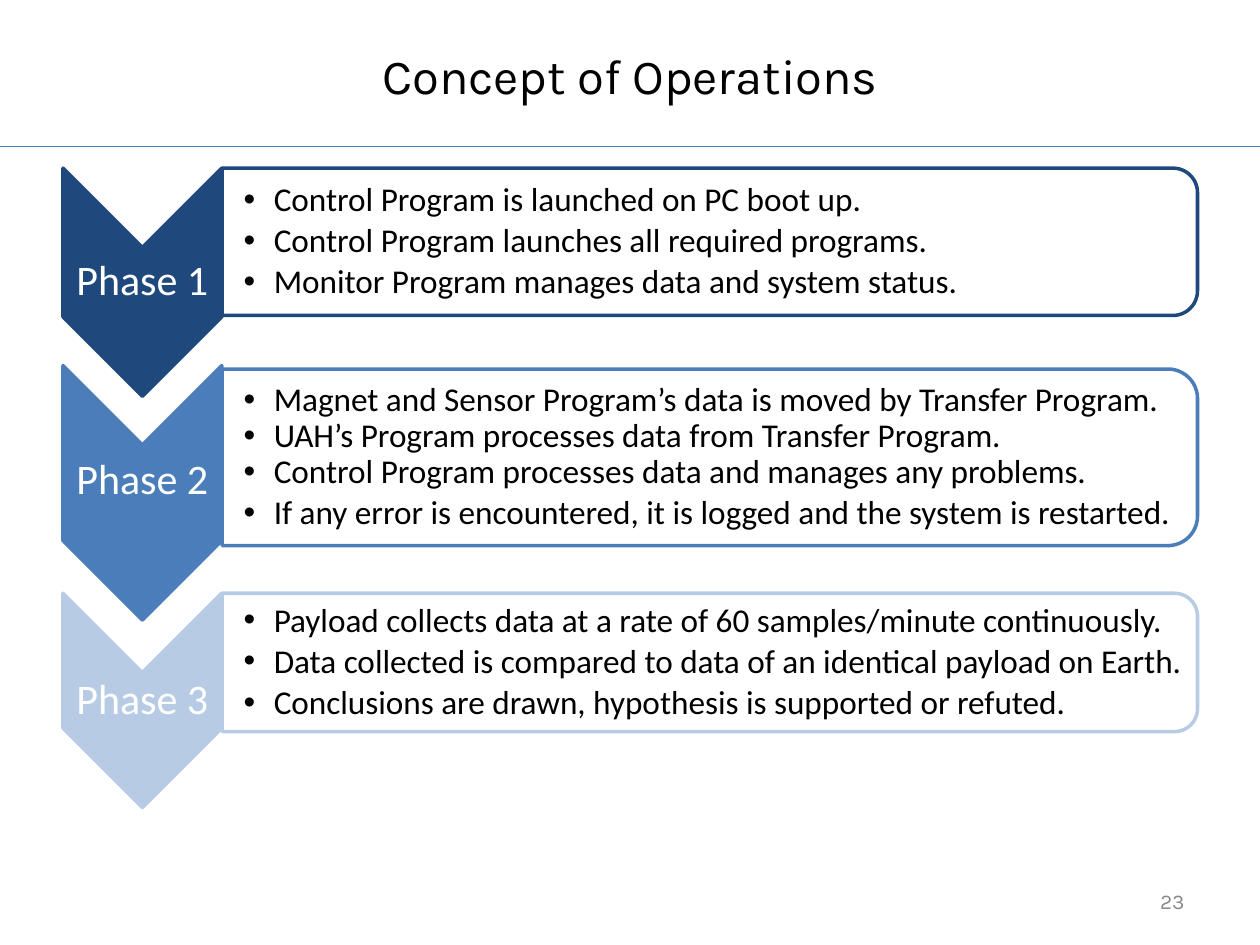
import dataclasses

import pptx
import pptx.dml.color
import pptx.enum.shapes
import pptx.enum.text
import pptx.oxml
import pptx.oxml.ns
import pptx.util

Cm = pptx.util.Cm
Pt = pptx.util.Pt
SHAPE = pptx.enum.shapes.MSO_SHAPE
ALIGN = pptx.enum.text.PP_ALIGN
NS = pptx.oxml.ns.nsdecls("a")


@dataclasses.dataclass(frozen=True)
class Theme:
    heading_font: str = "Karla"
    body_font: str = "Calibri"
    title_size: int = 28
    label_size: int = 24
    bullet_size: int = 19
    number_size: int = 12
    text: str = "000000"
    white: str = "FFFFFF"
    muted: str = "888888"
    accent: str = "4A7DBA"
    phases: tuple = ("1F497D", "4A7DBA", "B7CCE4")


def rgb(value):
    return pptx.dml.color.RGBColor.from_string(value)


class SlideBuilder:
    def __init__(self, prs, theme):
        self.theme = theme
        self.s = prs.slides.add_slide(prs.slide_layouts[5])

    def font(self, p, name, size, color):
        for r in p.runs:
            r.font.name = name
            r.font.size = Pt(size)
            r.font.color.rgb = rgb(color)

    def frame(self, sp, margins):
        tf = sp.text_frame
        tf.word_wrap = True
        tf.vertical_anchor = pptx.enum.text.MSO_ANCHOR.MIDDLE
        tf.margin_left, tf.margin_top, tf.margin_right, tf.margin_bottom = map(Cm, margins)
        return tf

    def title(self, text, left, top, width, height):
        sp = self.s.shapes.title
        sp.left, sp.top, sp.width, sp.height = map(Cm, (left, top, width, height))
        tf = self.frame(sp, (0.25, 0.13, 0.25, 0.13))
        tf.text = text
        p = tf.paragraphs[0]
        p.alignment = ALIGN.CENTER
        self.font(p, self.theme.heading_font, self.theme.title_size, self.theme.text)

    def rule(self, y, width):
        line = self.s.shapes.add_connector(
            pptx.enum.shapes.MSO_CONNECTOR.STRAIGHT, 0, Cm(y), Cm(width), Cm(y))
        line.line.color.rgb = rgb(self.theme.accent)
        line.line.width = Pt(0.75)
        line._element.spPr.append(pptx.oxml.parse_xml(f"<a:effectLst {NS}/>"))

    def text(self, text, box, size, color, font, align, margins, spacing=1.0):
        tf = self.frame(self.s.shapes.add_textbox(*map(Cm, box)), margins)
        tf.text = text
        p = tf.paragraphs[0]
        p.alignment = align
        p.line_spacing = spacing
        self.font(p, font, size, color)

    def turned_shape(self, kind, box, adjustments, fill, line):
        left, top, width, height = box
        sp = self.s.shapes.add_shape(
            kind, Cm(left + (width - height) / 2), Cm(top + (height - width) / 2),
            Cm(height), Cm(width))
        sp.rotation = 90
        for i, value in enumerate(adjustments):
            sp.adjustments[i] = value
        sp.shadow.inherit = False
        sp.fill.solid()
        sp.fill.fore_color.rgb = rgb(fill)
        sp.line.color.rgb = rgb(line)
        sp.line.width = Pt(2)
        return sp

    def chevron(self, box, color):
        self.turned_shape(SHAPE.CHEVRON, box, (0.5,), color, color)

    def panel(self, box, color):
        sp = self.turned_shape(
            SHAPE.ROUND_2_SAME_RECTANGLE, box, (0.167, 0), self.theme.white, color)
        clr = sp._element.spPr.find(
            f"{pptx.oxml.ns.qn('a:solidFill')}/{pptx.oxml.ns.qn('a:srgbClr')}")
        clr.append(pptx.oxml.parse_xml(f'<a:alpha {NS} val="90000"/>'))

    def bullets(self, items, box):
        tf = self.frame(self.s.shapes.add_textbox(*map(Cm, box)), (0.41, 0.03, 0.03, 0.03))
        tf.text = "\n".join(text for text, _ in items)
        for p, (_, before) in zip(tf.paragraphs, items):
            p.level = 1
            pPr = p._p.get_or_add_pPr()
            pPr.set("marL", str(Cm(0.64)))
            pPr.set("indent", str(Cm(-0.61)))
            for xml in (
                f'<a:buClr {NS}><a:srgbClr val="{self.theme.text}"/></a:buClr>',
                f'<a:buFont {NS} typeface="Arial"/>',
                f'<a:buChar {NS} char="•"/>',
            ):
                pPr.append(pptx.oxml.parse_xml(xml))
            p.line_spacing = 0.9
            p.space_before = Pt(before)
            self.font(p, self.theme.body_font, self.theme.bullet_size, self.theme.text)

    def phase(self, label, color, chevron, label_top, panel, items):
        t = self.theme
        self.chevron((1.27, chevron[0], 3.2, chevron[1]), color)
        self.text(label, (1.27, label_top, 3.2, 1.37), t.label_size, t.white,
                  t.body_font, ALIGN.CENTER, (0.05,) * 4, 0.9)
        top, height = panel
        self.panel((4.48, top, 19.66, height), color)
        self.bullets(items, (4.47, top + 0.14, 19.51, height - 0.28))


PHASES = [
    ("Phase 1", (3.39, 4.6), 5.0, (3.39, 2.97), [
        ("Control Program is launched on PC boot up.", 0),
        ("Control Program launches all required programs.", 3),
        ("Monitor Program manages data and system status.", 3),
    ]),
    ("Phase 2", (7.37, 5.13), 9.0, (7.44, 3.56), [
        ("Magnet and Sensor Program’s data is moved by Transfer Program.", 0),
        ("UAH’s Program processes data from Transfer Program.", 0),
        ("Control Program processes data and manages any problems.", 0),
        ("If any error is encountered, it is logged and the system is restarted.", 3),
    ]),
    ("Phase 3", (11.96, 4.32), 13.45, (11.96, 2.79), [
        ("Payload collects data at a rate of 60 samples/minute continuously.", 0),
        ("Data collected is compared to data of an identical payload on Earth.", 3),
        ("Conclusions are drawn, hypothesis is supported or refuted.", 3),
    ]),
]


def main():
    prs = pptx.Presentation()
    prs.slide_width, prs.slide_height = Cm(25.4), Cm(19.05)
    theme = Theme()
    slide = SlideBuilder(prs, theme)
    slide.rule(2.96, 25.4)
    slide.title("Concept of Operations", 3.6, 0.18, 18.2, 2.64)
    slide.text("23", (18.2, 17.65, 5.93, 1.02), theme.number_size, theme.muted,
               theme.heading_font, ALIGN.RIGHT, (0.25, 0.13, 0.25, 0.13))
    for color, (label, chevron, label_top, panel, items) in zip(theme.phases, PHASES):
        slide.phase(label, color, chevron, label_top, panel, items)
    prs.save("out.pptx")


if __name__ == "__main__":
    main()
